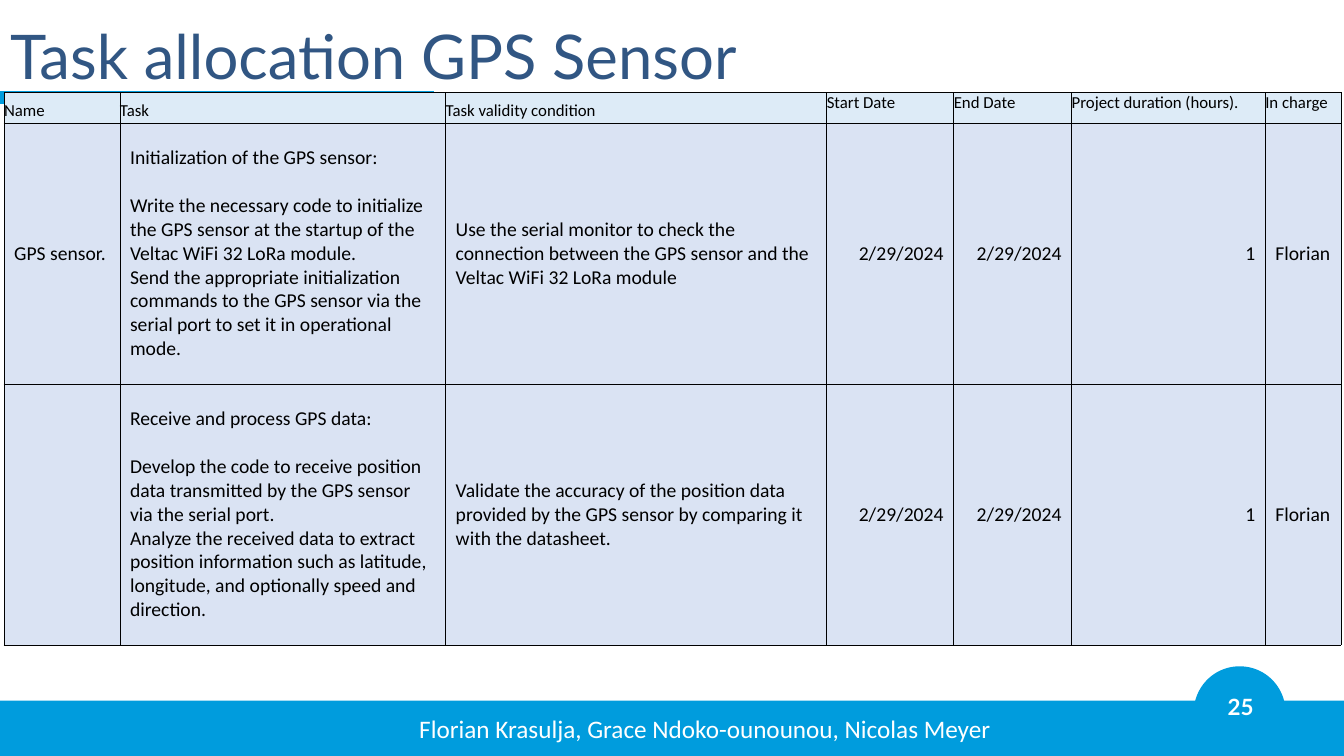
from lxml import etree
from pptx import Presentation
from pptx.dml.color import RGBColor
from pptx.enum.shapes import MSO_CONNECTOR, MSO_SHAPE
from pptx.enum.text import MSO_ANCHOR, MSO_AUTO_SIZE, PP_ALIGN
from pptx.oxml.ns import qn
from pptx.util import Inches, Pt

RECT, OVAL = MSO_SHAPE.RECTANGLE, MSO_SHAPE.OVAL
STRAIGHT = MSO_CONNECTOR.STRAIGHT
LEFT, CENTER, RIGHT = PP_ALIGN.LEFT, PP_ALIGN.CENTER, PP_ALIGN.RIGHT
TOP, MIDDLE, BOTTOM = MSO_ANCHOR.TOP, MSO_ANCHOR.MIDDLE, MSO_ANCHOR.BOTTOM
NO_FIT = MSO_AUTO_SIZE.NONE

BLUE = RGBColor(0x00, 0x9C, 0xDD)
NAVY = RGBColor(0x31, 0x56, 0x83)
HEADER = RGBColor(0xDD, 0xEB, 0xF7)
BODY = RGBColor(0xDA, 0xE3, 0xF3)
BLACK = RGBColor(0, 0, 0)
WHITE = RGBColor(255, 255, 255)

COLUMNS = [
    ("Name", 1.15, BOTTOM, LEFT),
    ("Task", 3.23, BOTTOM, LEFT),
    ("Task validity condition", 3.78, BOTTOM, LEFT),
    ("Start Date", 1.26, TOP, RIGHT),
    ("End Date", 1.17, TOP, RIGHT),
    ("Project duration (hours).", 1.92, TOP, RIGHT),
    ("In charge", 0.75, TOP, LEFT),
]
TASKS = [
    ["GPS sensor.",
     ["Initialization of the GPS sensor:",
      "Write the necessary code to initialize the GPS sensor at the startup of the Veltac WiFi 32 LoRa module.",
      "Send the appropriate initialization commands to the GPS sensor via the serial port to set it in operational mode."],
     "Use the serial monitor to check the connection between the GPS sensor and the Veltac WiFi 32 LoRa module",
     "2/29/2024", "2/29/2024", "1", "Florian"],
    ["",
     ["Receive and process GPS data:",
      "Develop the code to receive position data transmitted by the GPS sensor via the serial port.",
      "Analyze the received data to extract position information such as latitude, longitude, and optionally speed and direction."],
     "Validate the accuracy of the position data provided by the GPS sensor by comparing it with the datasheet.",
     "2/29/2024", "2/29/2024", "1", "Florian"],
]


def write(tf, text, font="Calibri", size=14, color=BLACK, bold=False,
          align=LEFT, spacing=None, heading_gap=17):
    lines = [text] if isinstance(text, str) else text
    for i, line in enumerate(lines):
        p = tf.paragraphs[0] if i == 0 else tf.add_paragraph()
        p.alignment = align
        p.line_spacing = spacing
        if i == 0 and len(lines) > 1:
            p.space_after = Pt(heading_gap)
        if not line:
            continue
        r = p.add_run()
        r.text = line
        r.font.name = font
        r.font.size = Pt(size)
        r.font.bold = bold
        r.font.color.rgb = color


class SlideBuilder:
    def __init__(self, s, accent):
        self.s = s
        self.accent = accent

    def shape(self, kind, *box):
        sp = self.s.shapes.add_shape(kind, *map(Inches, box))
        sp.shadow.inherit = False
        sp.fill.solid()
        sp.fill.fore_color.rgb = self.accent
        sp.line.fill.background()

    def line(self, x1, y1, x2, y2, width):
        sp = self.s.shapes.add_connector(STRAIGHT, *map(Inches, (x1, y1, x2, y2)))
        sp.line.color.rgb = self.accent
        sp.line.width = Pt(width)
        etree.SubElement(sp._element.spPr, qn("a:effectLst"))

    def text(self, text, *box, **style):
        sp = self.s.shapes.add_textbox(*map(Inches, box))
        sp.text_frame.word_wrap = True
        write(sp.text_frame, text, **style)

    def title(self, text, *box, **style):
        sp = self.s.shapes.title
        sp.left, sp.top, sp.width, sp.height = map(Inches, box)
        tf = sp.text_frame
        tf.auto_size = NO_FIT
        tf.vertical_anchor = MIDDLE
        write(tf, text, **style)

    def cell(self, cell, text, fill, anchor, **style):
        tc_pr = cell._tc.get_or_add_tcPr()
        for side in ("lnL", "lnR", "lnT", "lnB"):
            ln = etree.SubElement(tc_pr, qn("a:" + side), w=str(Pt(0.5)))
            solid = etree.SubElement(ln, qn("a:solidFill"))
            etree.SubElement(solid, qn("a:srgbClr"), val=str(BLACK))
        cell.fill.solid()
        cell.fill.fore_color.rgb = fill
        cell.vertical_anchor = anchor
        write(cell.text_frame, text, **style)

    def table(self, columns, rows, left, top, header_height, row_height):
        width = sum(column[1] for column in columns)
        height = header_height + row_height * len(rows)
        table = self.s.shapes.add_table(
            len(rows) + 1, len(columns), *map(Inches, (left, top, width, height))).table
        table.first_row = table.horz_banding = False
        for i, row in enumerate(table.rows):
            row.height = Inches(row_height if i else header_height)
        for c, (name, col_width, anchor, align) in enumerate(columns):
            table.columns[c].width = Inches(col_width)
            head = table.cell(0, c)
            head.margin_left = head.margin_right = head.margin_top = 0
            head.margin_bottom = Inches(0.02)
            self.cell(head, name, HEADER, anchor, size=12)
            for i, row in enumerate(rows, 1):
                self.cell(table.cell(i, c), row[c], BODY, MIDDLE, align=align)


def main():
    prs = Presentation()
    prs.slide_width, prs.slide_height = Inches(13.33), Inches(7.5)
    s = prs.slides.add_slide(prs.slide_layouts[5])
    b = SlideBuilder(s, BLUE)
    b.shape(RECT, 0, 6.95, 13.33, 0.55)
    b.shape(OVAL, 11.84, 6.61, 0.91, 0.91)
    b.text("25", 11.91, 6.83, 0.79, 0.33, font="Lato", size=16,
           color=WHITE, bold=True, align=CENTER)
    b.line(0, 0.97, 4.3, 0.97, 9)
    b.text("Florian Krasulja, Grace Ndoko-ounounou, Nicolas Meyer",
           4.06, 7.03, 6.7, 0.4, size=18, color=WHITE)
    b.title("Task allocation GPS Sensor", 0, 0, 11.5, 1.18,
            font="Lato", size=44, color=NAVY, spacing=0.9)
    b.table(COLUMNS, TASKS, 0.04, 0.92, 0.3, 2.59)
    prs.save("out.pptx")


if __name__ == "__main__":
    main()
